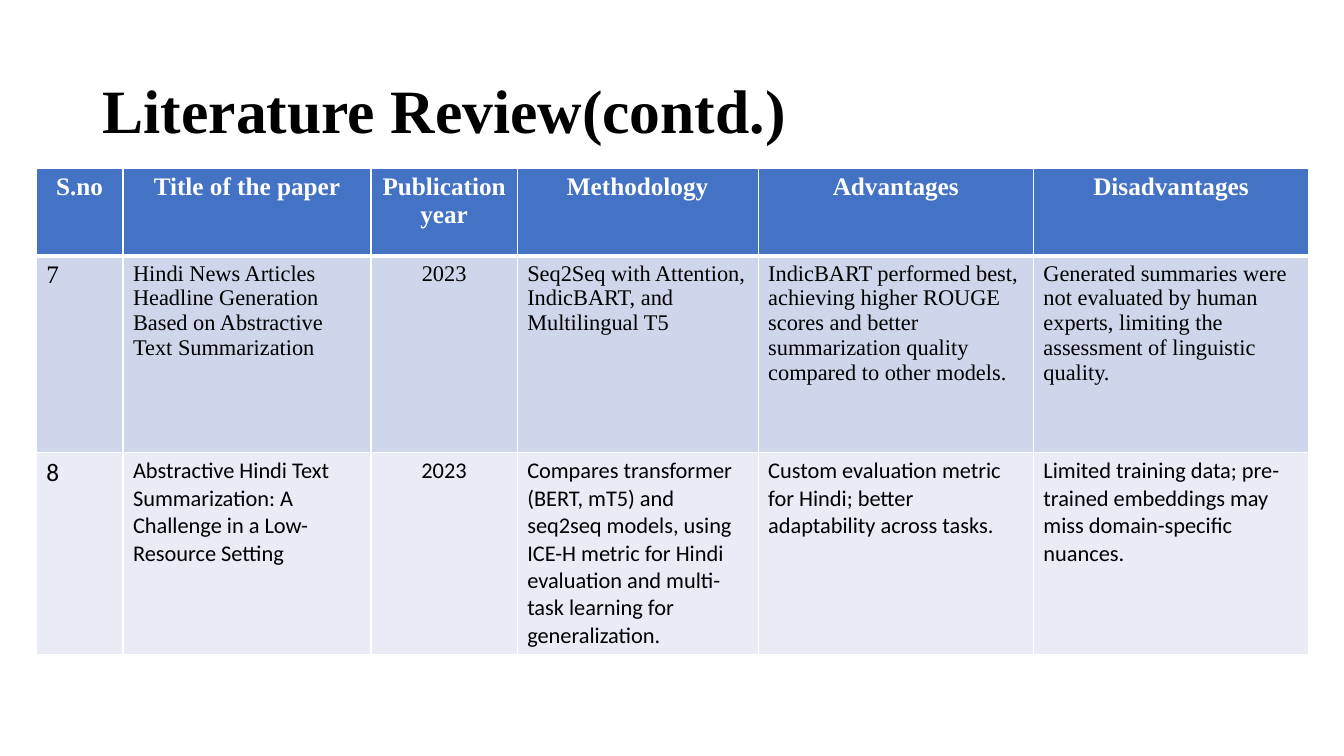
from pptx import Presentation
from pptx.dml.color import RGBColor
from pptx.enum.text import MSO_ANCHOR, MSO_AUTO_SIZE, PP_ALIGN
from pptx.oxml import parse_xml
from pptx.oxml.ns import nsdecls
from pptx.util import Inches, Pt

BLACK = RGBColor(0x00, 0x00, 0x00)
WHITE = RGBColor(0xFF, 0xFF, 0xFF)
BLUE = RGBColor(0x44, 0x72, 0xC4)
LIGHT_BLUE = RGBColor(0xCF, 0xD5, 0xEA)
PALE_BLUE = RGBColor(0xE9, 0xEB, 0xF5)
SERIF = "Times New Roman"
SANS = "Calibri"

COLUMN_WIDTHS = [0.86, 2.46, 1.45, 2.39, 2.73, 2.73]
CENTRED_COLUMN = 2

ROWS = [
    (0.87, BLUE, WHITE, SERIF, [
        "S.no", "Title of the paper", "Publication year",
        "Methodology", "Advantages", "Disadvantages",
    ]),
    (1.95, LIGHT_BLUE, BLACK, SERIF, [
        "7",
        "Hindi News Articles Headline Generation Based on Abstractive Text Summarization",
        "2023",
        "Seq2Seq with Attention, IndicBART, and Multilingual T5",
        "IndicBART performed best, achieving higher ROUGE scores and better "
        "summarization quality compared to other models.",
        "Generated summaries were not evaluated by human experts, limiting the "
        "assessment of linguistic quality.",
    ]),
    (1.95, PALE_BLUE, BLACK, SANS, [
        "8",
        "Abstractive Hindi Text Summarization: A Challenge in a Low-Resource Setting",
        "2023",
        "Compares transformer (BERT, mT5) and seq2seq models, using ICE-H metric "
        "for Hindi evaluation and multi-task learning for generalization.",
        "Custom evaluation metric for Hindi; better adaptability across tasks.",
        "Limited training data; pre-trained embeddings may miss domain-specific nuances.",
    ]),
]


def add_span(para, text, size, font, color, bold):
    span = para.add_run()
    span.text = text
    span.font.size = Pt(size)
    span.font.name = font
    span.font.color.rgb = color
    span.font.bold = bold


def add_border(cell, side, width):
    cell._tc.get_or_add_tcPr().append(parse_xml(
        f'<a:ln{side} {nsdecls("a")} w="{Pt(width)}"><a:solidFill>'
        f'<a:srgbClr val="{WHITE}"/></a:solidFill></a:ln{side}>'
    ))


deck = Presentation()
deck.slide_width = Inches(13.33)
deck.slide_height = Inches(7.5)
page = deck.slides.add_slide(deck.slide_layouts[5])

title = page.shapes.title
title.left, title.top = Inches(0.92), Inches(0.4)
title.width, title.height = Inches(11.5), Inches(1.45)
title.text_frame.vertical_anchor = MSO_ANCHOR.MIDDLE
title.text_frame.auto_size = MSO_AUTO_SIZE.NONE
para = title.text_frame.paragraphs[0]
para.alignment = PP_ALIGN.LEFT
para.line_spacing = 0.9
add_span(para, "Literature Review(contd.)", 44, SERIF, BLACK, True)

table = page.shapes.add_table(
    len(ROWS), len(COLUMN_WIDTHS), Inches(0.36), Inches(1.67),
    Inches(sum(COLUMN_WIDTHS)), Inches(sum(row[0] for row in ROWS)),
).table
for column, width in zip(table.columns, COLUMN_WIDTHS):
    column.width = Inches(width)

for row_index, (height, fill, color, font, texts) in enumerate(ROWS):
    table.rows[row_index].height = Inches(height)
    header = row_index == 0
    for column_index, text in enumerate(texts):
        cell = table.cell(row_index, column_index)
        for side in "LRTB":
            below_header = (header and side == "B") or (row_index == 1 and side == "T")
            add_border(cell, side, 3 if below_header else 1)
        cell.fill.solid()
        cell.fill.fore_color.rgb = fill
        para = cell.text_frame.paragraphs[0]
        centred = header or column_index == CENTRED_COLUMN
        para.alignment = PP_ALIGN.CENTER if centred else PP_ALIGN.LEFT
        size = 18 if header or column_index == 0 else 16
        add_span(para, text, size, font, color, header)

deck.save("out.pptx")
